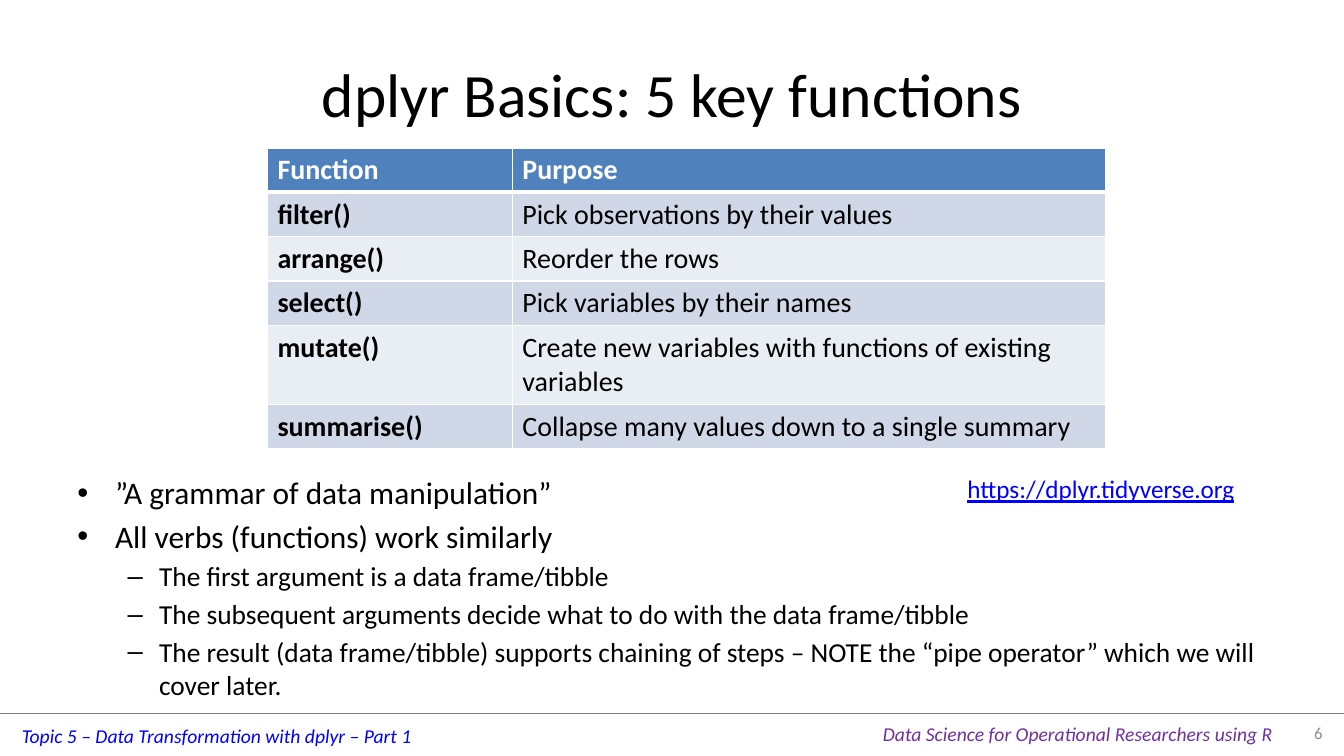
import pptx
import pptx.util
import pptx.dml.color
import pptx.enum.shapes
import pptx.enum.text
import pptx.oxml
import pptx.oxml.ns
import lxml.etree

Cm = pptx.util.Cm
Pt = pptx.util.Pt
RGB = pptx.dml.color.RGBColor
ALIGN = pptx.enum.text.PP_ALIGN
ANCHOR = pptx.enum.text.MSO_ANCHOR
qn = pptx.oxml.ns.qn

BLACK = RGB(0x00, 0x00, 0x00)
WHITE = RGB(0xFF, 0xFF, 0xFF)
GREY = RGB(0x80, 0x80, 0x80)
PALE = RGB(0x8C, 0x8C, 0x8C)
BLUE = RGB(0x00, 0x00, 0xFF)
PURPLE = RGB(0x70, 0x30, 0xA0)
HEAD = RGB(0x4F, 0x81, 0xBD)
BANDS = (RGB(0xD0, 0xD8, 0xE8), RGB(0xE9, 0xED, 0xF4))

VERBS = (
    ("Function", "Purpose"),
    ("filter()", "Pick observations by their values"),
    ("arrange()", "Reorder the rows"),
    ("select()", "Pick variables by their names"),
    ("mutate()", "Create new variables with functions of existing variables"),
    ("summarise()", "Collapse many values down to a single summary"),
)
POINTS = (
    (0, "”A grammar of data manipulation”"),
    (0, "All verbs (functions) work similarly"),
    (1, "The first argument is a data frame/tibble"),
    (1, "The subsequent arguments decide what to do with the data frame/tibble"),
    (1, "The result (data frame/tibble) supports chaining of steps – NOTE the "
        "“pipe operator” which we will cover later."),
)
LEVELS = (
    {"mark": "•", "left": 0.95, "hang": 0.95, "size": 22.4, "gap": 4},
    {"mark": "–", "left": 2.06, "hang": 0.79, "size": 19.6, "gap": 3.5},
)


def write(para, text, size, color=BLACK, bold=False, italic=False, line=False):
    run = para.add_run()
    run.text = text
    font = run.font
    font.name = "Calibri"
    font.size = Pt(size)
    font.color.rgb = color
    font.bold = bold
    font.italic = italic
    font.underline = line


def frame(slide, box, wrap=True, anchor=ANCHOR.TOP):
    body = slide.shapes.add_textbox(*map(Cm, box)).text_frame
    body.word_wrap = wrap
    body.vertical_anchor = anchor
    return body


def title(slide, box):
    para = frame(slide, box, anchor=ANCHOR.MIDDLE).paragraphs[0]
    para.alignment = ALIGN.CENTER
    write(para, "dplyr Basics: 5 key functions", 44)


def border(cell, widths):
    props = cell._tc.get_or_add_tcPr()
    for spot, (side, width) in enumerate(zip("LRTB", widths)):
        line = lxml.etree.Element(qn("a:ln" + side), w=str(Pt(width)))
        fill = lxml.etree.SubElement(line, qn("a:solidFill"))
        lxml.etree.SubElement(fill, qn("a:srgbClr"), val=str(WHITE))
        props.insert(spot, line)


def table(slide, box):
    left, top, width, height = box
    unit = height / (len(VERBS) + 0.78)
    grid = slide.shapes.add_table(len(VERBS), 2, *map(Cm, box)).table
    first = 6.17
    grid.columns[0].width = Cm(first)
    grid.columns[1].width = Cm(width - first)
    for row, texts in enumerate(VERBS):
        tall = 1.78 if texts[0] == "mutate()" else 1
        grid.rows[row].height = Cm(unit * tall)
        for col, text in enumerate(texts):
            cell = grid.cell(row, col)
            cell.fill.solid()
            cell.fill.fore_color.rgb = BANDS[(row - 1) % 2] if row else HEAD
            border(cell, (1, 1, 3 if row == 1 else 1, 1 if row else 3))
            write(cell.text_frame.paragraphs[0], text, 20,
                  BLACK if row else WHITE, bold=row == 0 or col == 0)


def bullets(slide, box):
    body = frame(slide, box)
    for order, (level, text) in enumerate(POINTS):
        style = LEVELS[level]
        para = body.add_paragraph() if order else body.paragraphs[0]
        para.level = level
        if order:
            para.space_before = Pt(style["gap"])
        props = para._p.get_or_add_pPr()
        props.set("marL", str(Cm(style["left"])))
        props.set("indent", str(-Cm(style["hang"])))
        lxml.etree.SubElement(props, qn("a:buFont"), typeface="Arial")
        lxml.etree.SubElement(props, qn("a:buChar"), char=style["mark"])
        write(para, text, style["size"])


def link(slide, box):
    para = frame(slide, box).paragraphs[0]
    write(para, "https://dplyr.tidyverse.org", 18, BLUE, line=True)


def footer(slide, box):
    left, top, width, height = box
    rule = slide.shapes.add_connector(
        pptx.enum.shapes.MSO_CONNECTOR.STRAIGHT,
        Cm(left), Cm(top), Cm(left + width), Cm(top))
    rule.line.color.rgb = GREY
    rule.line.width = Pt(0.25)
    lxml.etree.SubElement(rule._element.spPr, qn("a:effectLst"))
    topic = frame(slide, (left + 0.3, top + 0.16, 10.46, 0.86), wrap=False)
    write(topic.paragraphs[0], "Topic 5 – Data Transformation with dplyr – Part 1",
          14, BLUE, italic=True)
    course = frame(slide, (left + 22, top + 0.1, 10.44, 0.86), wrap=False)
    write(course.paragraphs[0], "Data Science for Operational Researchers using R",
          14, PURPLE, italic=True)
    page = frame(slide, (left + width - 1.69, top, 1.4, height),
                 anchor=ANCHOR.MIDDLE).paragraphs[0]
    page.alignment = ALIGN.RIGHT
    write(page, "6", 12, PALE)


def main():
    deck = pptx.Presentation()
    deck.slide_width = Cm(33.87)
    deck.slide_height = Cm(19.05)
    slide = deck.slides.add_slide(deck.slide_layouts[6])
    footer(slide, (0, 17.96, 33.87, 1))
    title(slide, (1.7, 0.76, 30.48, 3.18))
    bullets(slide, (1.7, 11.81, 30.48, 5.51))
    table(slide, (6.74, 3.73, 21.13, 7.58))
    link(slide, (24.13, 11.81, 7.47, 1.02))
    deck.save("out.pptx")


if __name__ == "__main__":
    main()
